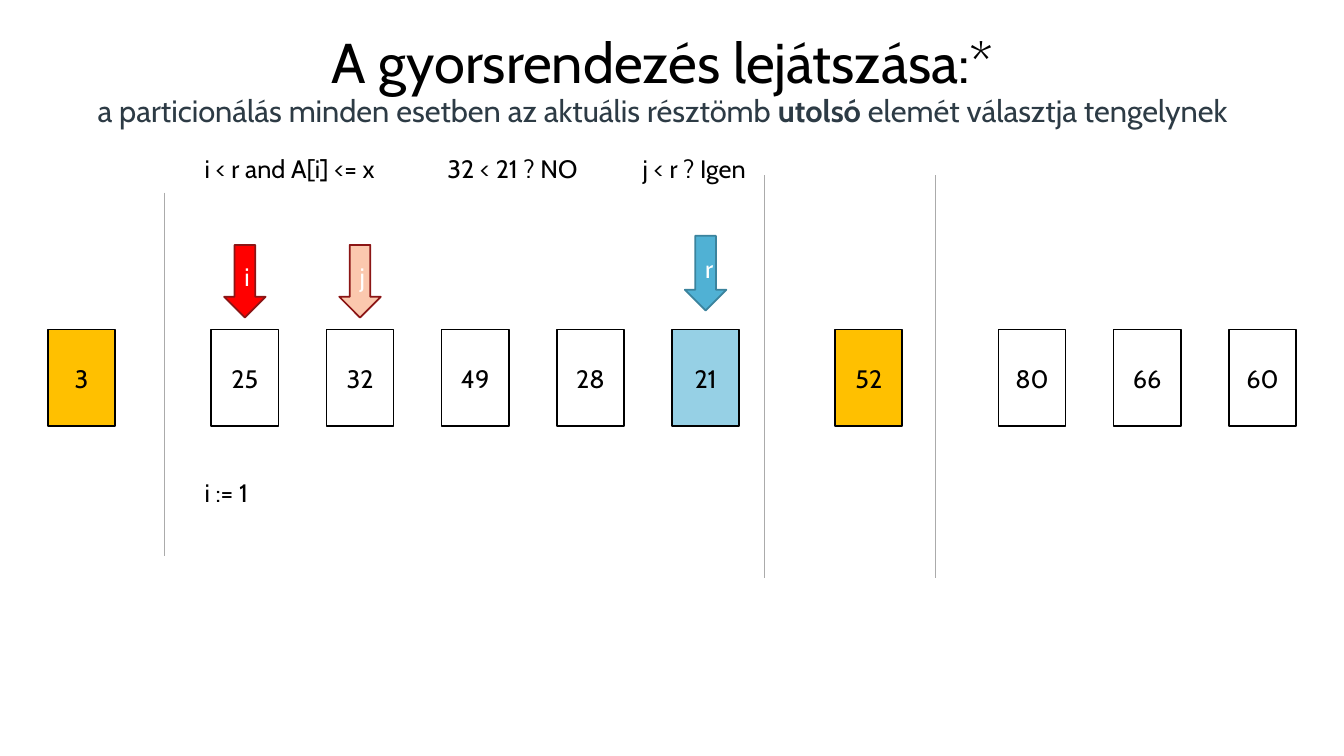
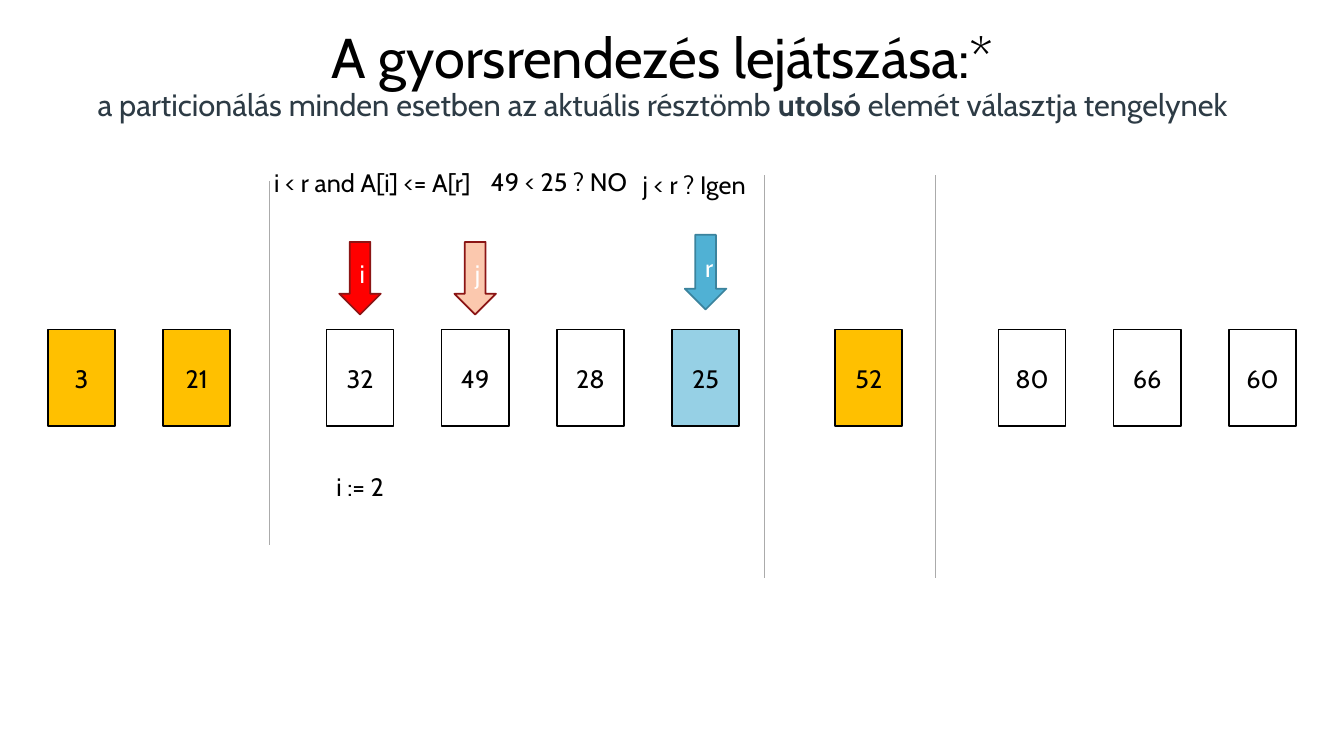
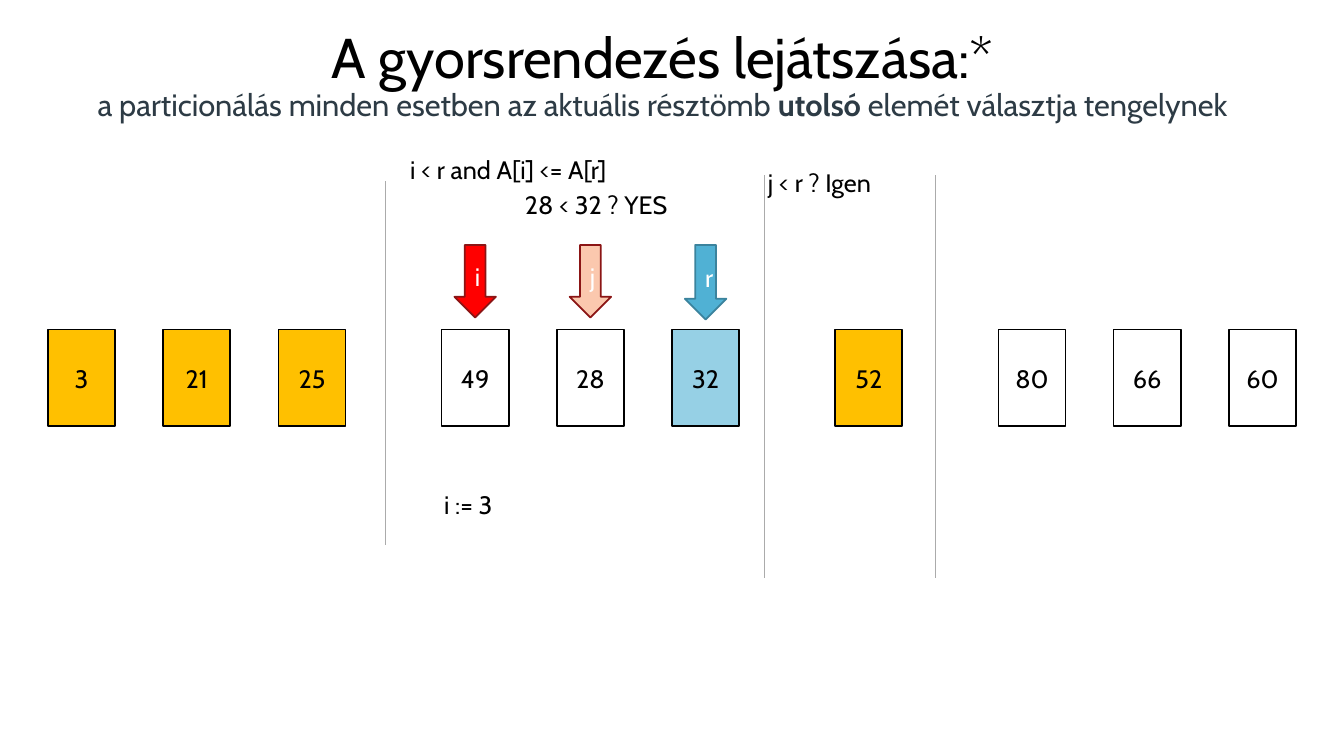
from pptx import Presentation
from pptx.dml.color import RGBColor
from pptx.enum.shapes import MSO_CONNECTOR, MSO_SHAPE
from pptx.enum.text import MSO_ANCHOR, MSO_AUTO_SIZE, PP_ALIGN
from pptx.oxml.ns import qn
from pptx.util import Inches, Pt
from lxml import etree

RECT = MSO_SHAPE.RECTANGLE
DOWN = MSO_SHAPE.DOWN_ARROW
LINE = MSO_CONNECTOR.STRAIGHT
MID = MSO_ANCHOR.MIDDLE
CENTER = PP_ALIGN.CENTER
GROW = MSO_AUTO_SIZE.SHAPE_TO_FIT_TEXT

BLACK = RGBColor(0x00, 0x00, 0x00)
WHITE = RGBColor(0xFF, 0xFF, 0xFF)
AMBER = RGBColor(0xFF, 0xC0, 0x00)
PALE = RGBColor(0x96, 0xD0, 0xE5)
BLUE = RGBColor(0x50, 0xB1, 0xD4)
TEAL = RGBColor(0x3B, 0x83, 0x9D)
RED = RGBColor(0xFF, 0x00, 0x00)
PEACH = RGBColor(0xFB, 0xC8, 0xAE)
DARK = RGBColor(0x8B, 0x15, 0x15)
SLATE = RGBColor(0x2D, 0x3B, 0x45)
GREY = RGBColor(0xAB, 0xAB, 0xAB)

FONT = "Cabin"
COLS, ROWS = 35, 75
STEP, GAP, CELL = 3, 1.25, 1.75
CELL_TOP, CELL_HIGH = 32.7, 9.6
ARROW = 1.08


class Deck:
    def __init__(self):
        self.file = Presentation()
        self.file.slide_width = Inches(13.33)
        self.file.slide_height = Inches(7.5)
        self.slide = None

    def start(self):
        self.slide = self.file.slides.add_slide(self.file.slide_layouts[6])

    def col(self, n):
        return int(self.file.slide_width * n / COLS)

    def row(self, n):
        return int(self.file.slide_height * n / ROWS)

    def area(self, left, top, wide, high):
        return self.col(left), self.row(top), self.col(wide), self.row(high)

    def run(self, para, text, size=18, color=BLACK, bold=False):
        run = para.add_run()
        run.text = text
        run.font.name = FONT
        run.font.size = Pt(size)
        run.font.bold = bold
        run.font.color.rgb = color

    def shape(self, kind, area, text, fill, edge, color):
        shape = self.slide.shapes.add_shape(kind, *self.area(*area))
        shape.shadow.inherit = False
        shape.fill.solid()
        shape.fill.fore_color.rgb = fill
        shape.line.color.rgb = edge
        shape.line.width = Pt(1.25)
        shape.text_frame.vertical_anchor = MID
        para = shape.text_frame.paragraphs[0]
        para.alignment = CENTER
        self.run(para, text, color=color)

    def box(self, left, top, wide, high):
        area = self.area(left, top, wide, high)
        frame = self.slide.shapes.add_textbox(*area).text_frame
        frame.word_wrap = True
        return frame

    def title(self, top, high):
        frame = self.box(1.65, top, 31.21, high)
        frame.vertical_anchor = MID
        para = frame.paragraphs[0]
        para.alignment = CENTER
        para.line_spacing = 0.9
        self.run(para, "A gyorsrendezés lejátszása:*", 40)
        para.add_line_break()
        self.run(para, "a particionálás minden esetben az aktuális résztömb ", 22, SLATE)
        self.run(para, "utolsó", 22, SLATE, True)
        self.run(para, " elemét választja tengelynek", 22, SLATE)

    def label(self, text, left, top, wide):
        frame = self.box(left, top, wide, 4)
        frame.auto_size = GROW
        self.run(frame.paragraphs[0], text)

    def rule(self, left, top, end):
        x = self.col(left)
        line = self.slide.shapes.add_connector(LINE, x, self.row(top), x, self.row(end))
        line.line.color.rgb = GREY
        line.line.width = Pt(0.75)
        etree.SubElement(line._element.spPr, qn("a:effectLst"))

    def cells(self, done, live):
        groups = (
            [(n, AMBER) for n in done],
            [(n, WHITE) for n in live[:-1]] + [(live[-1], PALE)],
            [(52, AMBER)],
            [(n, WHITE) for n in (80, 66, 60)],
        )
        left = GAP
        for group in groups:
            for value, fill in group:
                area = (left, CELL_TOP, CELL, CELL_HIGH)
                self.shape(RECT, area, str(value), fill, BLACK, BLACK)
                left += STEP
            left += GAP

    def arrow(self, text, spot, top, high, fill, edge):
        left = 2 * GAP + STEP * spot + (CELL - ARROW) / 2
        self.shape(DOWN, (left, top, ARROW, high), text, fill, edge, WHITE)

    def save(self):
        self.file.save("out.pptx")


STAGES = (
    dict(
        title=(1.8, 12.7), done=(3,), live=(25, 32, 49, 28, 21),
        tops=(24.3, 23.4), rule=(4.28, 19.1, 55.2),
        labels=(
            ("i := 1", 5.07, 46.9, 4.23),
            ("32 < 21 ? NO", 11.39, 14.7, 5.93),
            ("j < r ? Igen", 16.48, 14.7, 3.78),
            ("i < r and A[i] <= x", 5.07, 14.7, 5.7),
        ),
    ),
    dict(
        title=(-0.2, 15.6), done=(3, 21), live=(32, 49, 28, 25),
        tops=(24, 23.3), rule=(7.01, 18, 54.1),
        labels=(
            ("i := 2", 8.5, 46.3, 4.23),
            ("49 < 25 ? NO", 12.52, 16, 5.93),
            ("j < r ? Igen", 16.48, 16.3, 3.78),
            ("i < r and A[i] <= A[r]", 6.88, 16.1, 6.75),
        ),
    ),
    dict(
        title=(-0.2, 15.6), done=(3, 21, 25), live=(49, 28, 32),
        tops=(24.3, 24.3), rule=(10.03, 18, 54.1),
        labels=(
            ("i := 3", 11.31, 48.1, 4.23),
            ("28 < 32 ? YES", 13.41, 18.3, 5.93),
            ("j < r ? Igen", 19.74, 16.1, 3.78),
            ("i < r and A[i] <= A[r]", 10.42, 14.8, 6.64),
        ),
    ),
)


def main():
    deck = Deck()
    for stage in STAGES:
        deck.start()
        deck.cells(stage["done"], stage["live"])
        first = len(stage["done"])
        last = first + len(stage["live"]) - 1
        top, end_top = stage["tops"]
        deck.arrow("r", last, end_top, 7.4, BLUE, TEAL)
        deck.arrow("i", first, top, 7.2, RED, DARK)
        deck.arrow("j", first + 1, top, 7.2, PEACH, DARK)
        for label in stage["labels"]:
            deck.label(*label)
        for left in (24.36, 19.92):
            deck.rule(left, 17.4, 57.3)
        deck.title(*stage["title"])
        deck.rule(*stage["rule"])
    deck.save()


if __name__ == "__main__":
    main()
